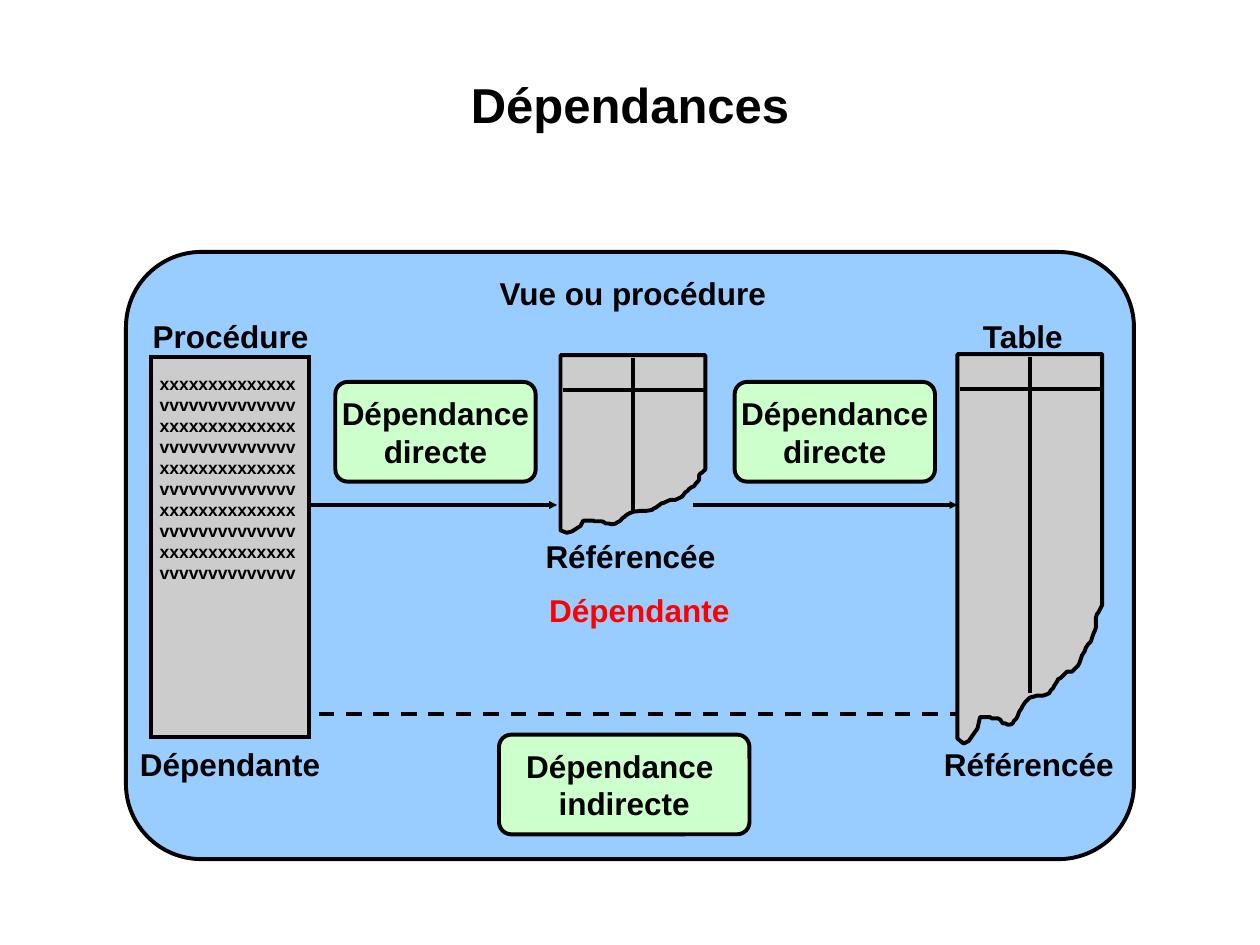
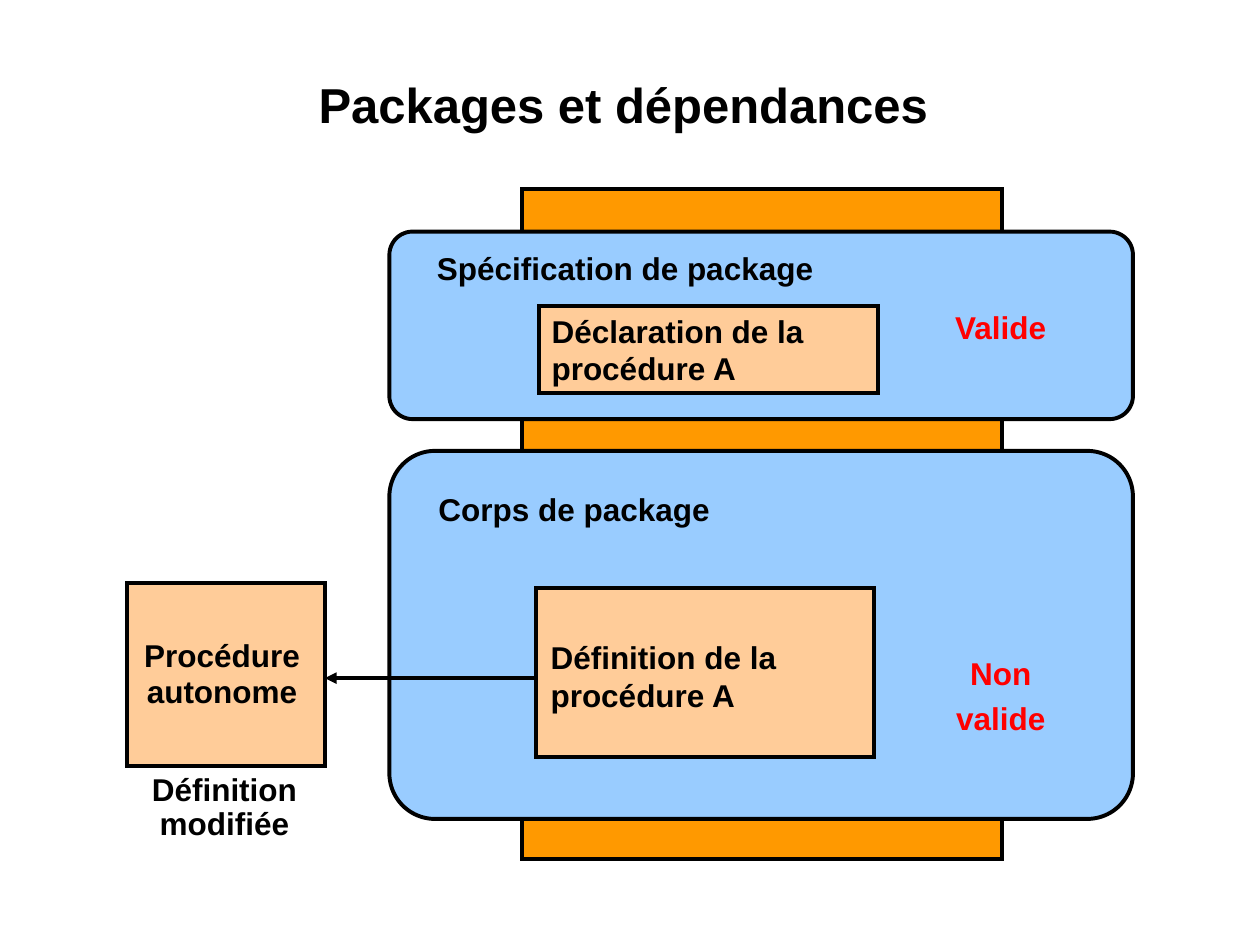
from lxml import etree
from pptx import Presentation
from pptx.dml.color import RGBColor
from pptx.enum.dml import MSO_LINE
from pptx.enum.shapes import MSO_CONNECTOR, MSO_SHAPE
from pptx.enum.text import MSO_ANCHOR, MSO_AUTO_SIZE, PP_ALIGN
from pptx.oxml.ns import qn
from pptx.util import Cm, Pt

RECT, ROUND = MSO_SHAPE.RECTANGLE, MSO_SHAPE.ROUNDED_RECTANGLE
STRAIGHT, DASH = MSO_CONNECTOR.STRAIGHT, MSO_LINE.DASH
LEFT, MID = PP_ALIGN.LEFT, PP_ALIGN.CENTER
TOP, CENTRE = MSO_ANCHOR.TOP, MSO_ANCHOR.MIDDLE
FIXED, GROW = MSO_AUTO_SIZE.NONE, MSO_AUTO_SIZE.SHAPE_TO_FIT_TEXT

COLORS = {
    "ink": "000000", "alert": "FF0000", "panel": "99CCFF", "paper": "CCCCCC",
    "tag": "CCFFCC", "bar": "FF9900", "code": "FFCC99",
}

# Torn sheet outline on a grid of TORN_W by TORN_H units
TORN_W, TORN_H = 115, 309
TORN = [
    (115, 199), (115, 0), (0, 0), (0, 305), (5, 309), (9, 307), (16, 297),
    (18, 288), (26, 288), (27, 289), (32, 289), (34, 290), (36, 293),
    (38, 293), (40, 294), (42, 294), (44, 293), (45, 291), (47, 289),
    (48, 287), (49, 284), (51, 281), (52, 279), (54, 276), (55, 275),
    (57, 273), (59, 272), (60, 272), (63, 271), (68, 271), (71, 270),
    (73, 269), (74, 267), (76, 265), (77, 263), (79, 260), (80, 258),
    (82, 257), (84, 255), (86, 253), (87, 252), (91, 252), (92, 251),
    (94, 249), (96, 247), (97, 245), (98, 242), (99, 239), (101, 236),
    (102, 233), (104, 230), (106, 228), (107, 225), (108, 222), (109, 220),
    (110, 217), (110, 209), (111, 206), (112, 205),
]


def tint(name):
    return RGBColor.from_string(COLORS[name])


def apply(target, values):
    for key, value in values.items():
        setattr(target, key, value)


class Deck:
    def __init__(self):
        self.prs = Presentation()
        apply(self.prs, {"slide_width": Cm(25.4), "slide_height": Cm(19.05)})

    def page(self, title):
        """Start a slide and place its title."""
        slide = self.prs.slides.add_slide(self.prs.slide_layouts[5])
        self.shapes = self.host = slide.shapes
        head = slide.shapes.title
        apply(head, {"left": Cm(2.54), "top": Cm(1.47),
                     "width": Cm(20.32), "height": Cm(2.44)})
        self.fill_text(head, title, size=28, pad=(0.03, 0.03), wrap=True)

    def group(self):
        """Send the next elements to a new group."""
        self.host = self.shapes.add_group_shape().shapes

    def end(self):
        self.host = self.shapes

    def fill_text(self, shape, text, size=18, color="ink", align=MID, lead=None,
                  anchor=TOP, pad=(0.25, 0.13), wrap=False, fit=FIXED):
        frame = shape.text_frame
        side, edge = map(Cm, pad)
        apply(frame, {
            "margin_left": side, "margin_right": side, "margin_top": edge,
            "margin_bottom": edge, "vertical_anchor": anchor,
            "word_wrap": wrap, "auto_size": fit, "text": text,
        })
        for para in frame.paragraphs:
            apply(para, {"alignment": align, "line_spacing": lead})
            for run in para.runs:
                apply(run.font, {"name": "Arial", "size": Pt(size), "bold": True})
                run.font.color.rgb = tint(color)

    def outline(self, shape):
        shape.line.color.rgb = tint("ink")
        shape.line.width = Pt(2.25)

    def paint(self, shape, fill):
        shape.shadow.inherit = False
        shape.fill.solid()
        shape.fill.fore_color.rgb = tint(fill)
        self.outline(shape)

    def box(self, x, y, w, h, fill, text=None, kind=RECT, **style):
        shape = self.host.add_shape(kind, Cm(x), Cm(y), Cm(w), Cm(h))
        self.paint(shape, fill)
        if kind == ROUND:
            shape.adjustments[0] = 0.124
        else:
            line = shape._element.spPr.find(qn("a:ln"))
            etree.SubElement(line, qn("a:miter"), lim="800000")
        if text:
            self.fill_text(shape, text, anchor=CENTRE, **style)

    def label(self, x, y, w, h, text, **style):
        shape = self.host.add_textbox(Cm(x), Cm(y), Cm(w), Cm(h))
        self.fill_text(shape, text, fit=GROW, **style)

    def line(self, x1, y1, x2, y2, head=None, dash=None):
        """Draw a line; head is the arrowhead size, if any."""
        link = self.host.add_connector(STRAIGHT, Cm(x1), Cm(y1), Cm(x2), Cm(y2))
        self.outline(link)
        if dash:
            link.line.dash_style = dash
        props = link._element.spPr
        if head:
            etree.SubElement(props.find(qn("a:ln")), qn("a:tailEnd"),
                             type="triangle", w=head, len=head)
        etree.SubElement(props, qn("a:effectLst"))

    def torn(self, x, y, w, h):
        """Draw a table sheet with a torn lower edge."""
        self.group()
        scale = Cm(w) / TORN_W, Cm(h) / TORN_H
        pen = self.host.build_freeform(*TORN[0], scale=scale)
        pen.add_line_segments(TORN[1:], close=True)
        self.paint(pen.convert_to_shape(Cm(x), Cm(y)), "paper")
        self.line(x + w / 2, y + 0.05, x + w / 2, y + 0.87 * h)
        self.line(x + 0.05, y + 0.7, x + w, y + 0.7)
        self.end()


def links(deck):
    deck.page("Dépendances")
    deck.box(2.54, 5.08, 20.32, 12.24, "panel", kind=ROUND)
    deck.label(9.8, 5.51, 5.92, 0.91, "Vue ou procédure", lead=0.85)
    deck.line(5.87, 14.4, 19.76, 14.4, "sm", DASH)
    deck.torn(11.3, 7.16, 2.92, 3.58)
    deck.torn(19.3, 7.14, 2.92, 7.85)
    for x, y, w, text in (
        (6.76, 7.7, 4.04, "Dépendance\vdirecte"),
        (14.81, 7.7, 4.04, "Dépendance\vdirecte"),
        (10.06, 14.81, 5.05, "Dépendance \vindirecte"),
    ):
        deck.box(x, y, w, 2.01, "tag", text, kind=ROUND)
    for start, stop in ((5.87, 11.23), (13.97, 19.3)):
        deck.line(start, 10.18, stop, 10.18, "sm")

    deck.group()
    deck.box(3.05, 7.19, 3.18, 7.67, "paper")
    code = "\n".join(["x" * 14, "v" * 14] * 5)
    deck.label(3.02, 7.42, 3.25, 4.88, code, size=10, align=LEFT, pad=(0.2, 0.1))
    deck.end()

    for x, y, w, text, color in (
        (2.82, 6.27, 3.66, "Procédure", "ink"),
        (2.57, 14.88, 4.14, "Dépendante", "ink"),
        (10.74, 10.69, 3.94, "Référencée", "ink"),
        (10.82, 11.79, 4.14, "Dépendante", "alert"),
        (19.53, 6.27, 2.18, "Table", "ink"),
        (18.77, 14.88, 3.94, "Référencée", "ink"),
    ):
        deck.label(x, y, w, 1.02, text, color=color)


def packs(deck):
    deck.page("Packages et dépendances ")
    deck.box(10.52, 3.81, 9.68, 13.51, "bar")
    for y, h in ((9.09, 7.42), (4.67, 3.78)):
        deck.box(7.85, y, 14.99, h, "panel", kind=ROUND)
    deck.label(8.56, 4.9, 8.81, 1.02, "Spécification de package",
               align=LEFT, wrap=True)
    deck.label(8.59, 9.75, 7.52, 1.02, "Corps de package", align=LEFT, wrap=True)
    deck.box(10.87, 6.17, 6.83, 1.75, "code",
             "Déclaration de la \vprocédure A", align=LEFT, wrap=True)
    deck.box(10.8, 11.86, 6.83, 3.4, "code")
    deck.label(10.87, 12.73, 5.23, 1.75, "Définition de la procédure A",
               align=LEFT, pad=(0.23, 0.13), wrap=True)
    for y, h, text in ((5.92, 1.17, "Valide"), (12.9, 2.08, "Non valide")):
        deck.label(18.64, y, 3.07, h, text, color="alert", lead=1.2, wrap=True)
    deck.box(2.57, 11.76, 3.99, 3.68, "code", "Procédure \vautonome ", lead=0.95)
    deck.label(2.57, 15.47, 3.91, 1.63, "Définition modifiée", lead=0.9, wrap=True)
    deck.line(10.8, 13.67, 6.55, 13.67, "med")


def main():
    deck = Deck()
    links(deck)
    packs(deck)
    deck.prs.save("out.pptx")


if __name__ == "__main__":
    main()
